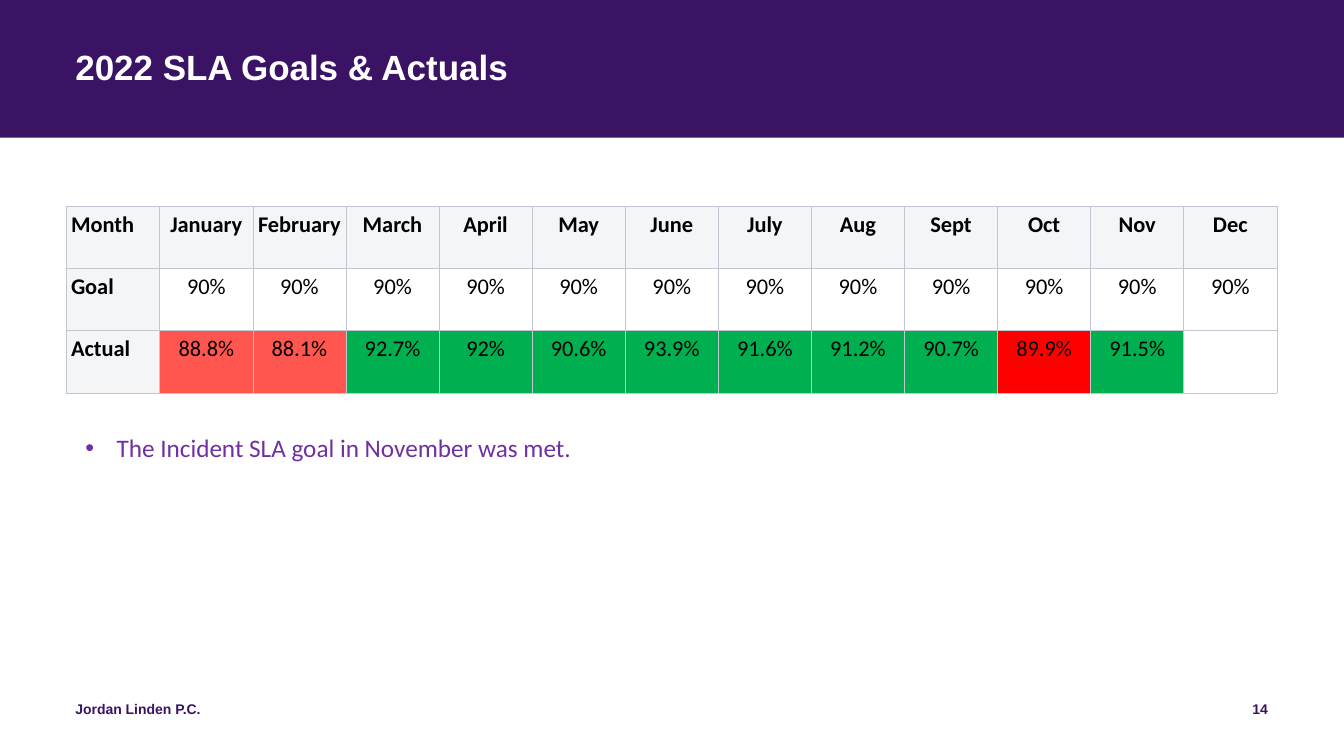
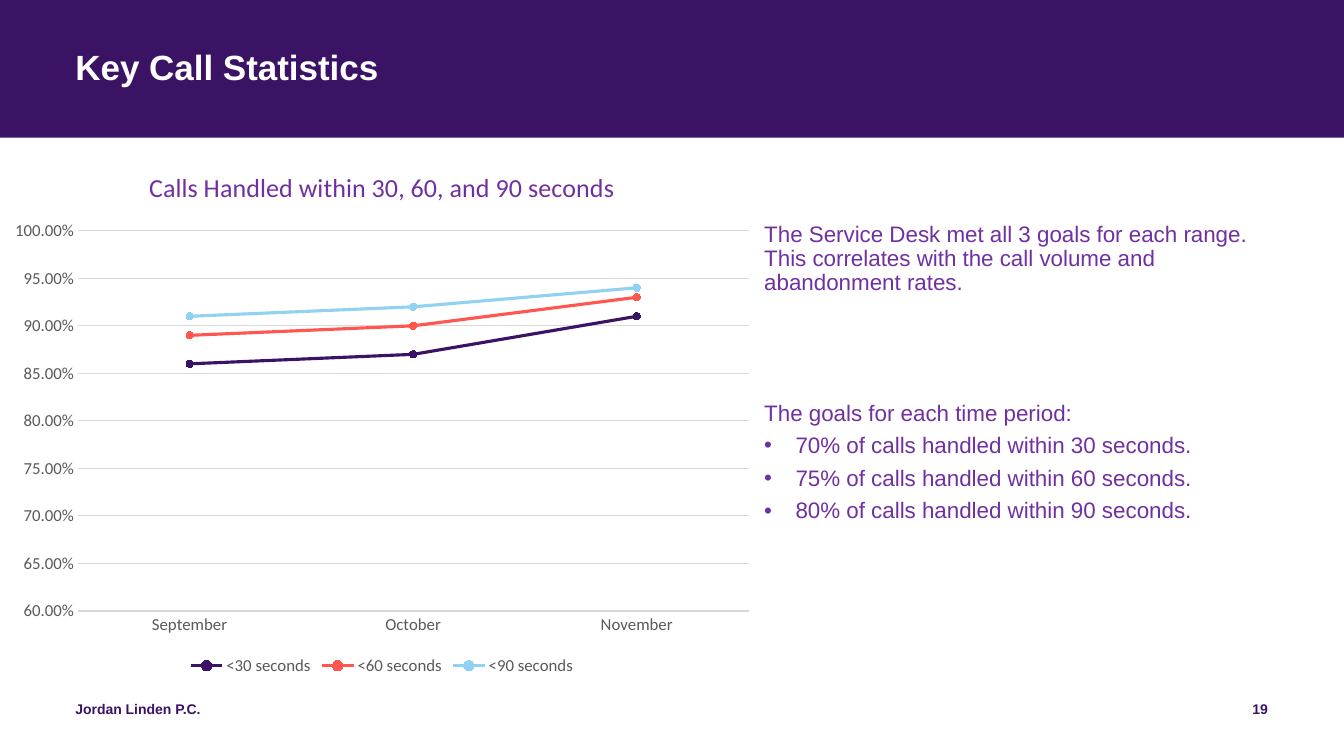
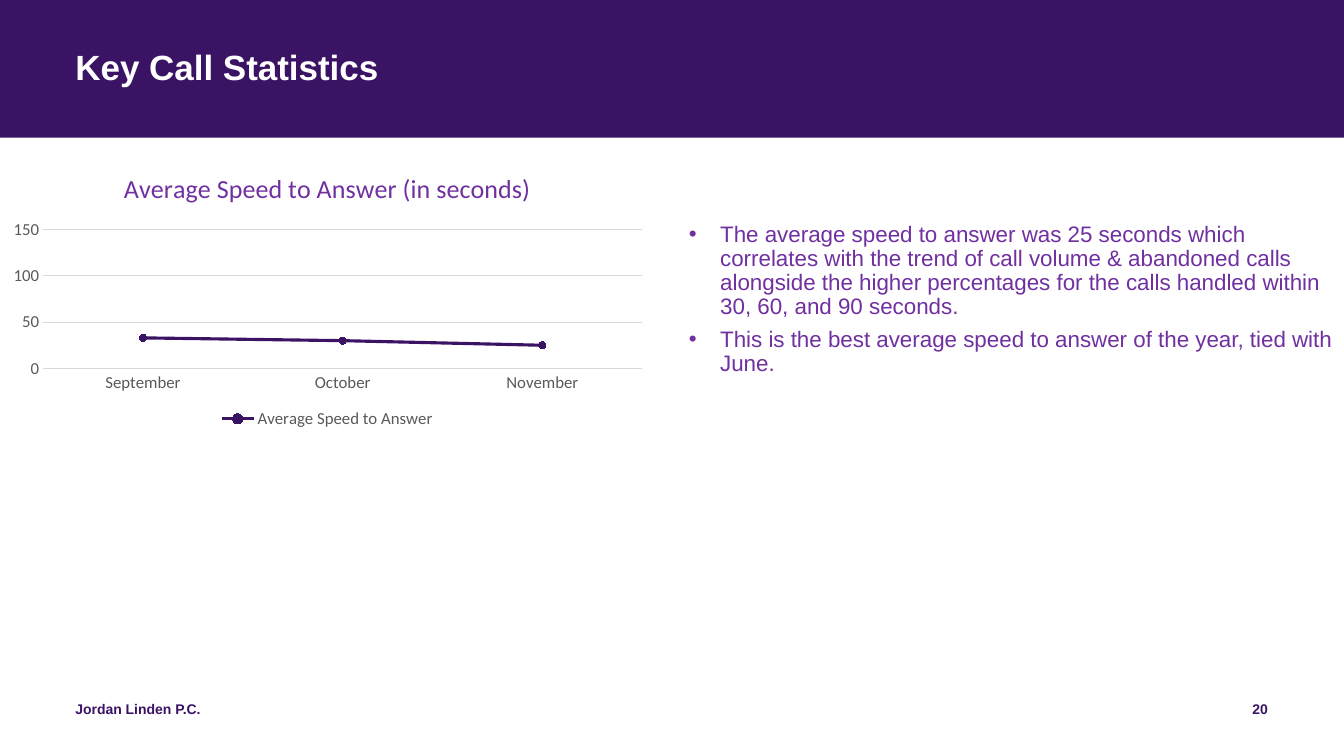
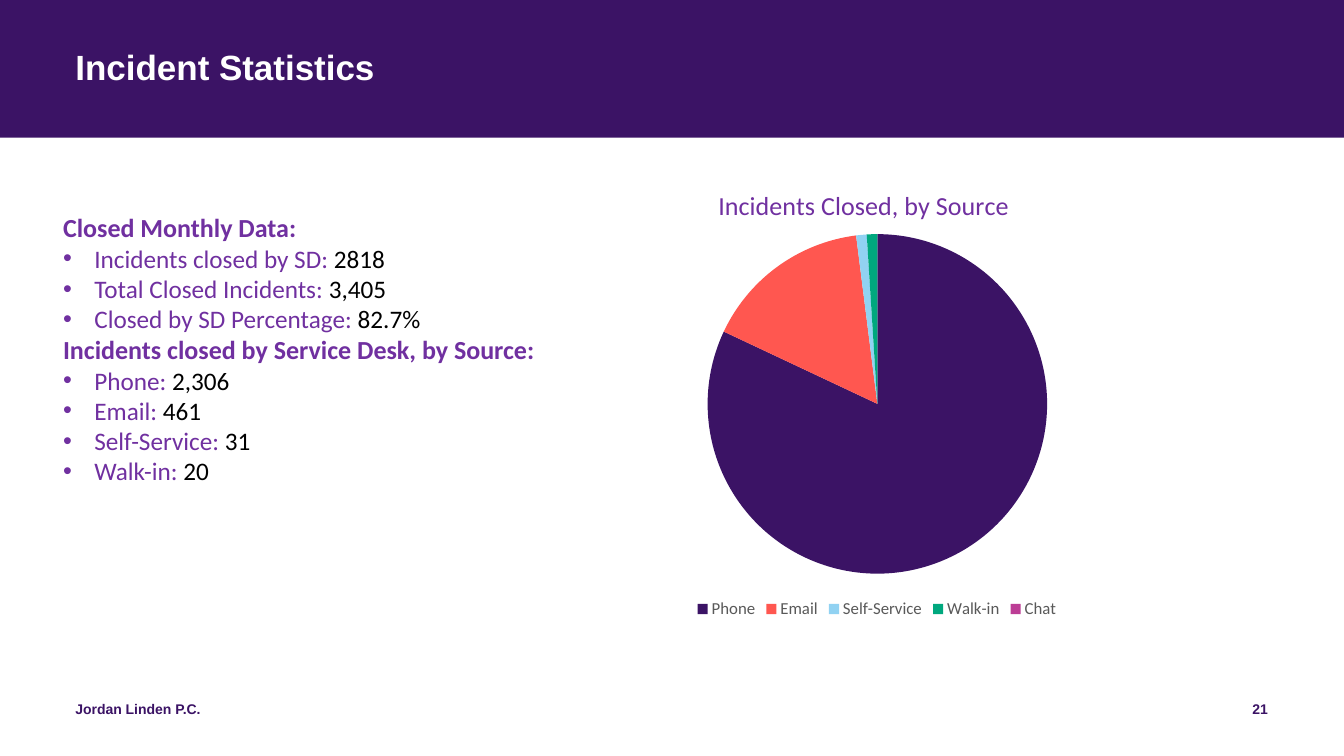
from lxml import etree
from pptx import Presentation
from pptx.chart.data import CategoryChartData
from pptx.dml.color import RGBColor
from pptx.enum import chart as ch, shapes, text
from pptx.oxml.ns import qn
from pptx.util import Cm, Pt

C = {"band": "3B1365", "white": "FFFFFF", "black": "000000", "accent": "7030A0",
     "grey": "595959", "grid": "D9D9D9", "border": "C1C7D0", "head": "F4F5F7",
     "coral": "FF5750", "red": "FF0000", "green": "00B050",
     "sky": "91D2F2", "teal": "00A87E", "pink": "BC3D95"}
SERIES = ["band", "coral", "sky", "teal", "pink"]
FIRM = "Jordan Linden P.C."
INDENT = Cm(0.79)
LEFT, RIGHT, CENTER = text.PP_ALIGN.LEFT, text.PP_ALIGN.RIGHT, text.PP_ALIGN.CENTER


def rgb(name):
    return RGBColor.from_string(C[name])


# Text
def set_font(f, size, color, font="Calibri", bold=False):
    f.size, f.name, f.bold = Pt(size), font, bold
    f.color.rgb = rgb(color)


def add_run(p, txt, size=18, color="accent", font="Calibri", bold=False):
    r = p.add_run()
    r.text = txt
    set_font(r.font, size, color, font, bold)


def add_par(tf, txt, value="", bullet=False, align=LEFT, line=None, after=0, **fmt):
    """Write one paragraph, with an optional black value behind its label."""
    p = tf.paragraphs[0] if not tf.text else tf.add_paragraph()
    p.alignment, p.line_spacing, p.space_after = align, line, Pt(after)
    if bullet:
        pPr = p._p.get_or_add_pPr()
        pPr.set("marL", str(INDENT))
        pPr.set("indent", str(-INDENT))
        etree.SubElement(pPr, qn("a:buFont")).set("typeface", "Arial")
        etree.SubElement(pPr, qn("a:buChar")).set("char", "•")
    add_run(p, txt, **fmt)
    if value:
        add_run(p, value, **{**fmt, "color": "black"})


def set_margins(box, x, y):
    box.margin_left = box.margin_right = Cm(x)
    box.margin_top = box.margin_bottom = Cm(y)


def add_box(s, x, y, w, h, inset=False):
    tf = s.shapes.add_textbox(Cm(x), Cm(y), Cm(w), Cm(h)).text_frame
    tf.word_wrap = True
    if not inset:
        set_margins(tf, 0, 0)
    return tf


# Shared slide parts
def add_band(s, layout):
    """Draw the title band and move it to the layout, behind everything."""
    sp = s.shapes.add_shape(shapes.MSO_SHAPE.RECTANGLE, 0, 0, Cm(33.87), Cm(3.47))
    sp.shadow.inherit = False
    sp.fill.solid()
    sp.fill.fore_color.rgb = rgb("band")
    sp.line.fill.background()
    sp.element.nvSpPr.cNvPr.set("id", "20")
    layout.shapes.element.insert(2, sp.element)


def add_slide(prs, title, number):
    s = prs.slides.add_slide(prs.slide_layouts[5])
    sp = s.shapes.title
    sp.left, sp.top, sp.width, sp.height = Cm(1.9), Cm(1.27), Cm(30.06), Cm(2.06)
    tf = sp.text_frame
    tf.auto_size = text.MSO_AUTO_SIZE.NONE
    tf.vertical_anchor = text.MSO_ANCHOR.TOP
    set_margins(tf, 0, 0)
    add_par(tf, title, line=0.9, size=25, color="white", font="Arial", bold=True)
    for x, w, txt, align in ((1.9, 11.43, FIRM, LEFT), (24.33, 7.62, str(number), RIGHT)):
        add_par(add_box(s, x, 17.65, w, 1.02), txt, align=align,
                size=10, color="band", font="Arial", bold=True)
    return s


# Table
def add_border(cell):
    tcPr = cell._tc.get_or_add_tcPr()
    for i, side in enumerate(("a:lnL", "a:lnR", "a:lnT", "a:lnB")):
        ln = etree.Element(qn(side), w=str(Pt(0.5)))
        fill = etree.SubElement(ln, qn("a:solidFill"))
        etree.SubElement(fill, qn("a:srgbClr"), val=C["border"])
        tcPr.insert(i, ln)


def add_table(s, rows, fill_for, x, y, w, h):
    n = len(rows[0])
    tbl = s.shapes.add_table(len(rows), n, Cm(x), Cm(y), Cm(w), Cm(h)).table
    tbl.horz_banding = tbl.first_row = False
    for i, row in enumerate(rows):
        for j, txt in enumerate(row):
            cell = tbl.cell(i, j)
            set_margins(cell, 0.11, 0.11)
            fill = fill_for(i, j, txt)
            if fill:
                cell.fill.solid()
                cell.fill.fore_color.rgb = rgb(fill)
            else:
                cell.fill.background()
            add_border(cell)
            if txt:
                add_par(cell.text_frame, txt, align=CENTER if j else LEFT,
                        size=16, color="black", bold=i == 0 or j == 0)


def sla_fill(i, j, txt):
    if i == 0 or j == 0:
        return "head"
    if i == 1 or not txt:
        return None
    if float(txt.rstrip("%")) >= 90:
        return "green"
    return "red" if j == 10 else "coral"


# Charts
def set_layout(parent, index, **place):
    """Place a chart part by percentages of the chart area."""
    for old in parent.findall(qn("c:layout")):
        parent.remove(old)
    layout = etree.Element(qn("c:layout"))
    manual = etree.SubElement(layout, qn("c:manualLayout"))
    if "w" in place:
        etree.SubElement(manual, qn("c:layoutTarget"), val="inner")
    for mode in ("xMode", "yMode"):
        etree.SubElement(manual, qn("c:" + mode), val="edge")
    for key, val in place.items():
        etree.SubElement(manual, qn("c:" + key), val=str(val / 100))
    parent.insert(index, layout)


def add_chart(s, kind, title, cats, series, box, title_at, plot_at, fmt="General"):
    data = CategoryChartData(number_format=fmt)
    data.categories = cats
    for name, vals in series.items():
        data.add_series(name, vals)
    chart = s.shapes.add_chart(kind, *map(Cm, box), data).chart
    set_font(chart.font, 10, "black")
    chart.has_title = True
    add_par(chart.chart_title.text_frame, title, align=CENTER, size=18.6)
    chart.chart_title.include_in_layout = False
    set_layout(chart.chart_title.element, 1, **dict(zip("xy", title_at)))
    set_layout(chart.element.chart.plotArea, 0, **dict(zip("xywh", plot_at)))
    chart.has_legend = True
    chart.legend.position = ch.XL_LEGEND_POSITION.BOTTOM
    chart.legend.include_in_layout = False
    set_font(chart.legend.font, 12, "grey")
    return chart


def add_line_chart(s, *args, low, high, step, fmt="General", **kw):
    chart = add_chart(s, ch.XL_CHART_TYPE.LINE_MARKERS, *args, fmt=fmt, **kw)
    chart.plots[0].vary_by_categories = False
    cat, val = chart.category_axis, chart.value_axis
    for axis in (cat, val):
        axis.major_tick_mark = axis.minor_tick_mark = ch.XL_TICK_MARK.NONE
        set_font(axis.tick_labels.font, 12, "grey")
    val.minimum_scale, val.maximum_scale, val.major_unit = low, high, step
    val.tick_labels.number_format = fmt
    val.tick_labels.number_format_is_linked = False
    val.format.line.fill.background()
    val.has_major_gridlines = True
    for line in (cat.format.line, val.major_gridlines.format.line):
        line.color.rgb = rgb("grid")
        line.width = Pt(0.75)
    for ser, color in zip(chart.plots[0].series, SERIES):
        ser.smooth = False
        ser.format.line.color.rgb = rgb(color)
        ser.format.line.width = Pt(2.25)
        ser.marker.style, ser.marker.size = ch.XL_MARKER_STYLE.CIRCLE, 5
        ser.marker.format.fill.solid()
        ser.marker.format.fill.fore_color.rgb = rgb(color)
        ser.marker.format.line.color.rgb = rgb(color)


def add_pie_chart(s, *args, **kw):
    chart = add_chart(s, ch.XL_CHART_TYPE.PIE, *args, **kw)
    plot = chart.plots[0]
    plot.vary_by_categories = True
    for i, color in enumerate(SERIES):
        fill = plot.series[0].points[i].format.fill
        fill.solid()
        fill.fore_color.rgb = rgb(color)


# Slides
def sla_slide(prs):
    s = add_slide(prs, "2022 SLA Goals & Actuals", 14)
    add_band(s, prs.slide_layouts[5])
    months = ["January", "February", "March", "April", "May", "June", "July",
              "Aug", "Sept", "Oct", "Nov", "Dec"]
    actual = ["88.8%", "88.1%", "92.7%", "92%", "90.6%", "93.9%", "91.6%",
              "91.2%", "90.7%", "89.9%", "91.5%", ""]
    rows = [["Month"] + months, ["Goal"] + ["90%"] * 12, ["Actual"] + actual]
    add_table(s, rows, sla_fill, 1.68, 5.21, 30.51, 4.69)
    add_par(add_box(s, 1.9, 10.77, 30.06, 1.02, inset=True),
            "The Incident SLA goal in November was met.", bullet=True)


def calls_slide(prs, body):
    s = add_slide(prs, "Key Call Statistics", 19)
    tf = add_box(s, 19.26, 5.62, 12.7, 11.53)
    add_par(tf, "The Service Desk met all 3 goals for each range. This correlates "
            "with the call volume and abandonment rates.", **{**body, "after": 76})
    add_par(tf, "The goals for each time period:", **body)
    for share, limit in ((70, 30), (75, 60), (80, 90)):
        add_par(tf, f"{share}% of calls handled within {limit} seconds.", bullet=True, **body)
    add_line_chart(s, "Calls Handled within 30, 60, and 90 seconds",
                   ["September", "October", "November"],
                   {"<30 seconds": (0.86, 0.87, 0.91),
                    "<60 seconds": (0.89, 0.9, 0.93),
                    "<90 seconds": (0.91, 0.92, 0.94)},
                   box=(0, 3.82, 19.25, 13.31), title_at=(18.9, 2.5),
                   plot_at=(10.2, 15, 87.8, 72),
                   low=0.6, high=1, step=0.05, fmt="0.00%")


def speed_slide(prs, body):
    s = add_slide(prs, "Key Call Statistics", 20)
    tf = add_box(s, 17.36, 5.62, 16.5, 5.3)
    for txt in ("The average speed to answer was 25 seconds which correlates with the "
                "trend of call volume & abandoned calls alongside the higher percentages "
                "for the calls handled within 30, 60, and 90 seconds.",
                "This is the best average speed to answer of the year, tied with June."):
        add_par(tf, txt, bullet=True, **body)
    add_line_chart(s, "Average Speed to Answer (in seconds)",
                   ["September", "October", "November"],
                   {"Average Speed to Answer": (33, 30, 25)},
                   box=(0, 3.91, 16.5, 7), title_at=(18.2, 3.6),
                   plot_at=(6.6, 26.8, 91.5, 50), low=0, high=150, step=50)


def incident_slide(prs):
    s = add_slide(prs, "Incident Statistics", 21)
    add_pie_chart(s, "Incidents Closed, by Source",
                  ["Phone", "Email", "Self-Service", "Walk-in", "Chat"],
                  {"Series 1": (82, 16, 1, 1, 0)},
                  box=(10.34, 4.09, 23.52, 11.61), title_at=(32.5, 4.3),
                  plot_at=(31.8, 15.6, 36.5, 73.7))
    tf = add_box(s, 1.34, 5.21, 12.57, 7.92, inset=True)
    groups = {
        "Closed Monthly Data:": [
            ("Incidents closed by SD: ", "2818"),
            ("Total Closed Incidents: ", "3,405"),
            ("Closed by SD Percentage: ", "82.7%")],
        "Incidents closed by Service Desk, by Source:": [
            ("Phone: ", "2,306"), ("Email: ", "461"),
            ("Self-Service: ", "31"), ("Walk-in: ", "20")]}
    for heading, items in groups.items():
        add_par(tf, heading, size=18.6, bold=True)
        for label, value in items:
            add_par(tf, label, value, bullet=True)


def main():
    prs = Presentation()
    prs.slide_width, prs.slide_height = Cm(33.87), Cm(19.05)
    body = {"line": 0.9, "after": 6, "size": 16, "font": "Arial"}
    sla_slide(prs)
    calls_slide(prs, body)
    speed_slide(prs, body)
    incident_slide(prs)
    prs.save("out.pptx")


if __name__ == "__main__":
    main()
